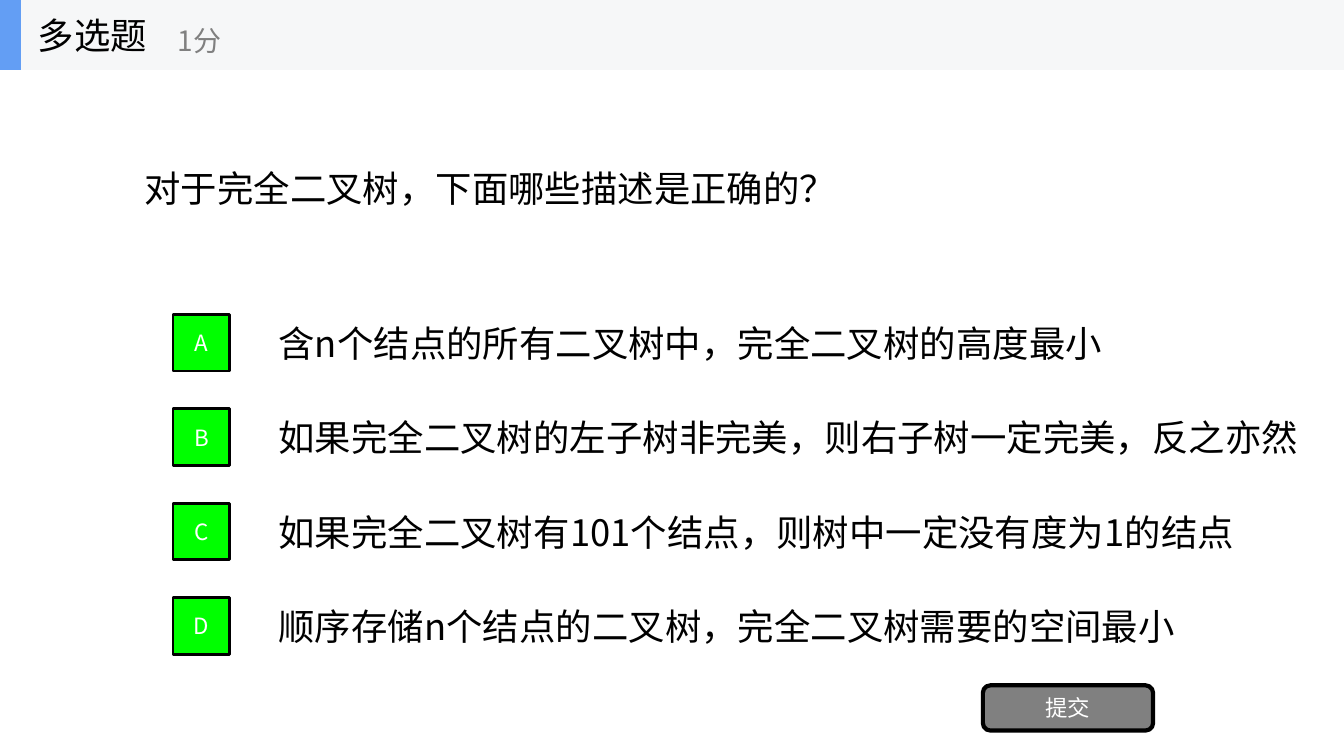
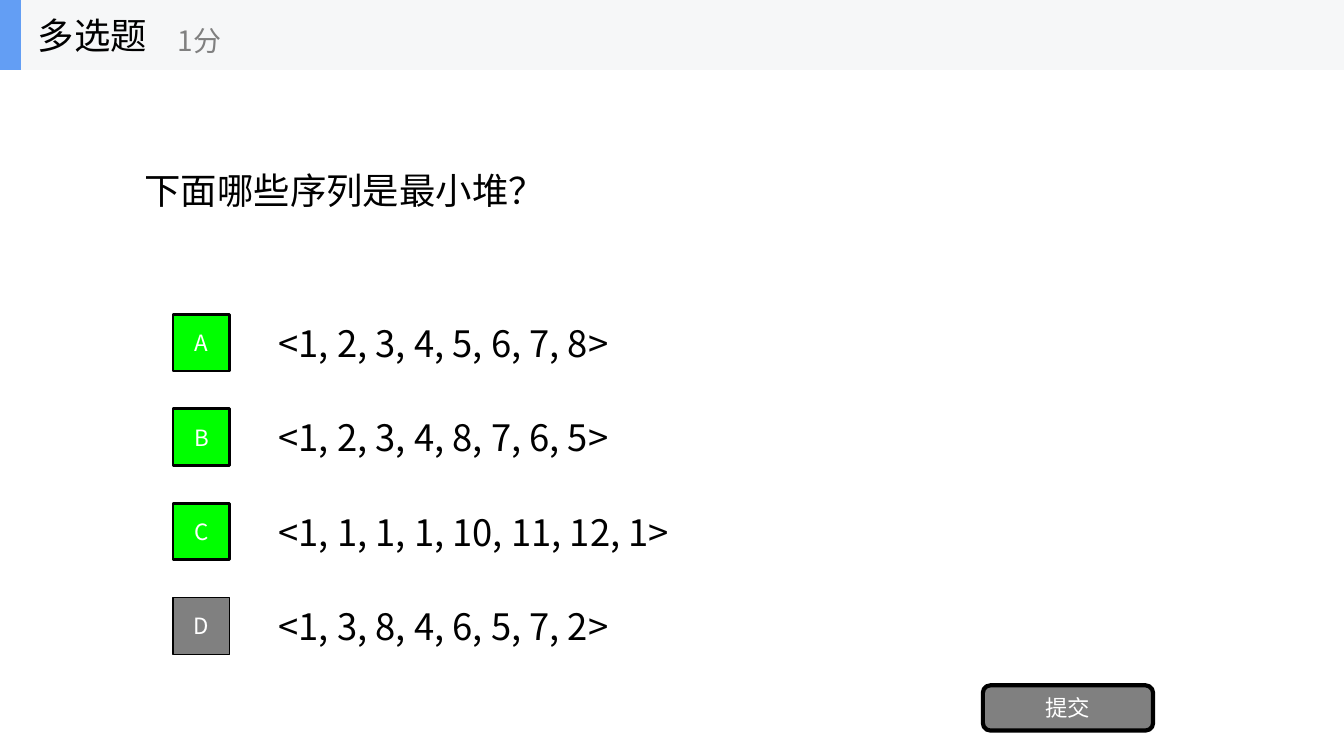
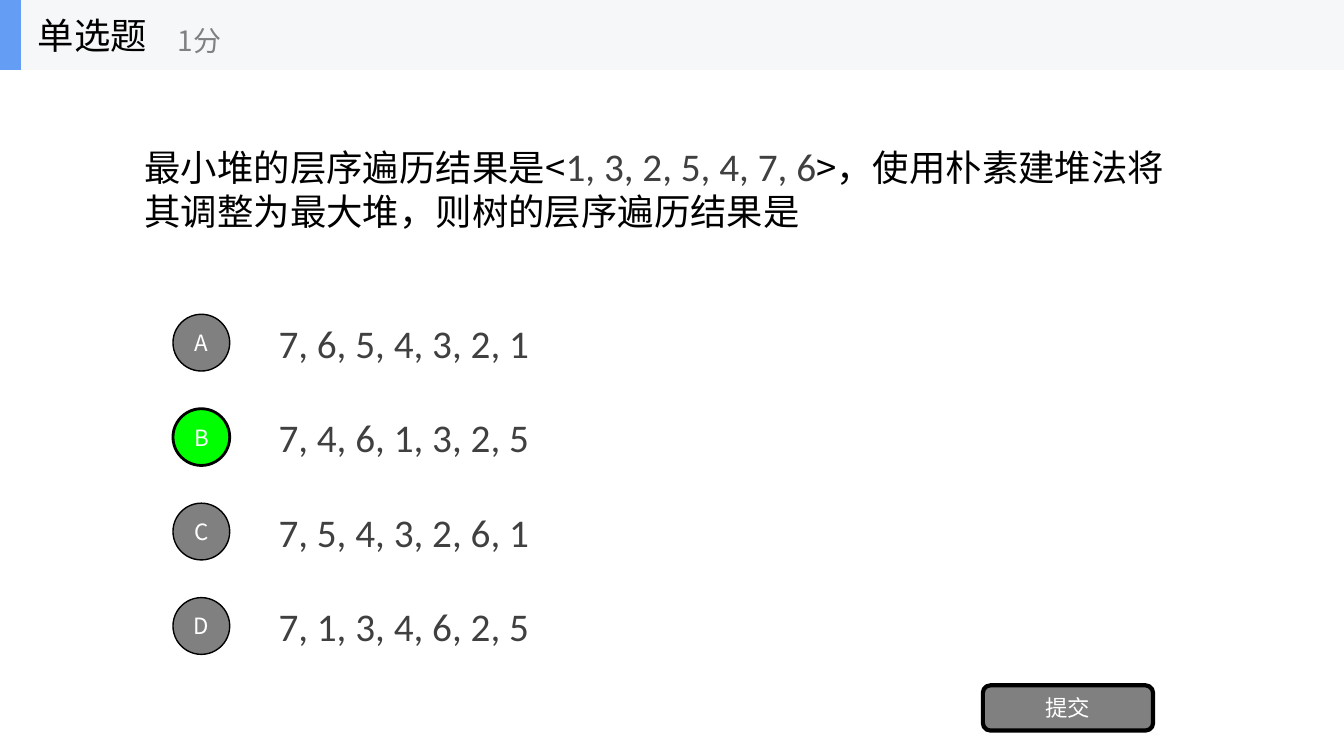
from pptx import Presentation
from pptx.dml.color import RGBColor
from pptx.enum.shapes import MSO_SHAPE
from pptx.enum.text import MSO_ANCHOR, PP_ALIGN
from pptx.oxml.ns import qn
from pptx.util import Cm, Pt
from lxml.etree import SubElement

SLIDE_WIDTH, SLIDE_HEIGHT = 33.87, 19.05
BAND_HEIGHT = 1.76
OPTION_TOP, OPTION_PITCH, OPTION_HEIGHT = 7.74, 2.38, 1.79
OPTION_WIDTH = 23.7
MARKER_SIZE = 1.43

BLACK, WHITE, GREY = "000000", "FFFFFF", "808080"
GREEN, BLUE, PALE, CHARCOAL = "00FF00", "639EF4", "F6F7F8", "404040"

SANS, LATIN = "Noto Sans CJK SC", "Calibri"
# Text styles: font, size in points, colour
BODY = (SANS, 26, BLACK)
NUMBERS = (LATIN, 28, CHARCOAL)
SCORE = (SANS, 20, GREY)
LABEL = (SANS, 16, WHITE)


def color(value):
    return RGBColor.from_string(value)


class QuizDeck:
    def __init__(self):
        self.deck = Presentation()
        self.deck.slide_width = Cm(SLIDE_WIDTH)
        self.deck.slide_height = Cm(SLIDE_HEIGHT)
        self.page = None

    def add_page(self):
        self.page = self.deck.slides.add_slide(self.deck.slide_layouts[6])

    def fill_frame(self, frame, spans):
        """Fill the frame's first paragraph with (text, style) spans."""
        frame.word_wrap = True
        frame.vertical_anchor = MSO_ANCHOR.MIDDLE
        para = frame.paragraphs[0]
        for text, (name, size, ink) in spans:
            span = para.add_run()
            span.text = text
            span.font.name = name
            span.font.size = Pt(size)
            span.font.color.rgb = color(ink)
            east_asian = SubElement(span.font._element, qn("a:ea"))
            east_asian.set("typeface", name)
        return para

    def text(self, place, spans, holder=None):
        shapes = holder or self.page.shapes
        box = shapes.add_textbox(*map(Cm, place))
        self.fill_frame(box.text_frame, spans)

    def shape(self, kind, place, fill, line=0, label="", holder=None):
        shapes = holder or self.page.shapes
        box = shapes.add_shape(kind, *map(Cm, place))
        box.shadow.inherit = False
        box.fill.solid()
        box.fill.fore_color.rgb = color(fill)
        if line:
            box.line.color.rgb = color(BLACK)
            box.line.width = Pt(line)
        else:
            box.line.fill.background()
        if label:
            frame = box.text_frame
            frame.margin_left = frame.margin_right = 0
            frame.margin_top = frame.margin_bottom = 0
            para = self.fill_frame(frame, [(label, LABEL)])
            para.alignment = PP_ALIGN.CENTER

    def options(self, options, style, marker):
        for row, (words, _, width) in enumerate(options):
            top = OPTION_TOP + row * OPTION_PITCH
            self.text((6.77, top, width, OPTION_HEIGHT), [(words, style)])
        for row, (_, correct, _) in enumerate(options):
            top = OPTION_TOP + row * OPTION_PITCH
            middle = top + (OPTION_HEIGHT - MARKER_SIZE) / 2
            self.shape(marker, (4.36, middle, MARKER_SIZE, MARKER_SIZE),
                       GREEN if correct else GREY, 2 if correct else 1,
                       "ABCD"[row])

    def submit_button(self):
        self.shape(MSO_SHAPE.ROUNDED_RECTANGLE, (24.77, 17.27, 4.29, 1.14),
                   GREY, 3, "提交")

    def header(self, title):
        band = self.page.shapes.add_group_shape().shapes
        for width, fill in ((SLIDE_WIDTH, PALE), (0.53, BLUE)):
            self.shape(MSO_SHAPE.RECTANGLE, (0, 0, width, BAND_HEIGHT), fill,
                       holder=band)
        self.text((0.7, 0, 5.29, BAND_HEIGHT), [(title, BODY)], band)
        self.text((4.23, 0.32, 6.35, 1.41), [("1分", SCORE)], band)

    def question(self, title, spans, options, style=BODY,
                 marker=MSO_SHAPE.RECTANGLE, top=BAND_HEIGHT, height=5.94):
        """Add one complete quiz page."""
        self.add_page()
        self.text((3.39, top, 27.09, height), spans)
        self.options(options, style, marker)
        self.submit_button()
        self.header(title)


def main():
    quiz = QuizDeck()
    quiz.question(
        "多选题",
        [("对于完全二叉树，下面哪些描述是正确的？", BODY)],
        [("含n个结点的所有二叉树中，完全二叉树的高度最小", True, OPTION_WIDTH),
         ("如果完全二叉树的左子树非完美，则右子树一定完美，反之亦然", True, 26.75),
         ("如果完全二叉树有101个结点，则树中一定没有度为1的结点", True, 25.98),
         ("顺序存储n个结点的二叉树，完全二叉树需要的空间最小", True, 25.98)])
    quiz.question(
        "多选题",
        [("下面哪些序列是最小堆？", BODY)],
        [("<1, 2, 3, 4, 5, 6, 7, 8>", True, OPTION_WIDTH),
         ("<1, 2, 3, 4, 8, 7, 6, 5>", True, OPTION_WIDTH),
         ("<1, 1, 1, 1, 10, 11, 12, 1>", True, OPTION_WIDTH),
         ("<1, 3, 8, 4, 6, 5, 7, 2>", False, OPTION_WIDTH)],
        top=2.97, height=3.61)
    quiz.question(
        "单选题",
        [("最小堆的层序遍历结果是<", BODY),
         ("1, 3, 2, 5, 4, 7, 6", NUMBERS),
         (">，使用朴素建堆法将其调整为最大堆，则树的层序遍历结果是", BODY)],
        [("7, 6, 5, 4, 3, 2, 1", False, OPTION_WIDTH),
         ("7, 4, 6, 1, 3, 2, 5", True, OPTION_WIDTH),
         ("7, 5, 4, 3, 2, 6, 1", False, OPTION_WIDTH),
         ("7, 1, 3, 4, 6, 2, 5", False, OPTION_WIDTH)],
        style=NUMBERS, marker=MSO_SHAPE.OVAL)
    quiz.deck.save("out.pptx")


if __name__ == "__main__":
    main()
